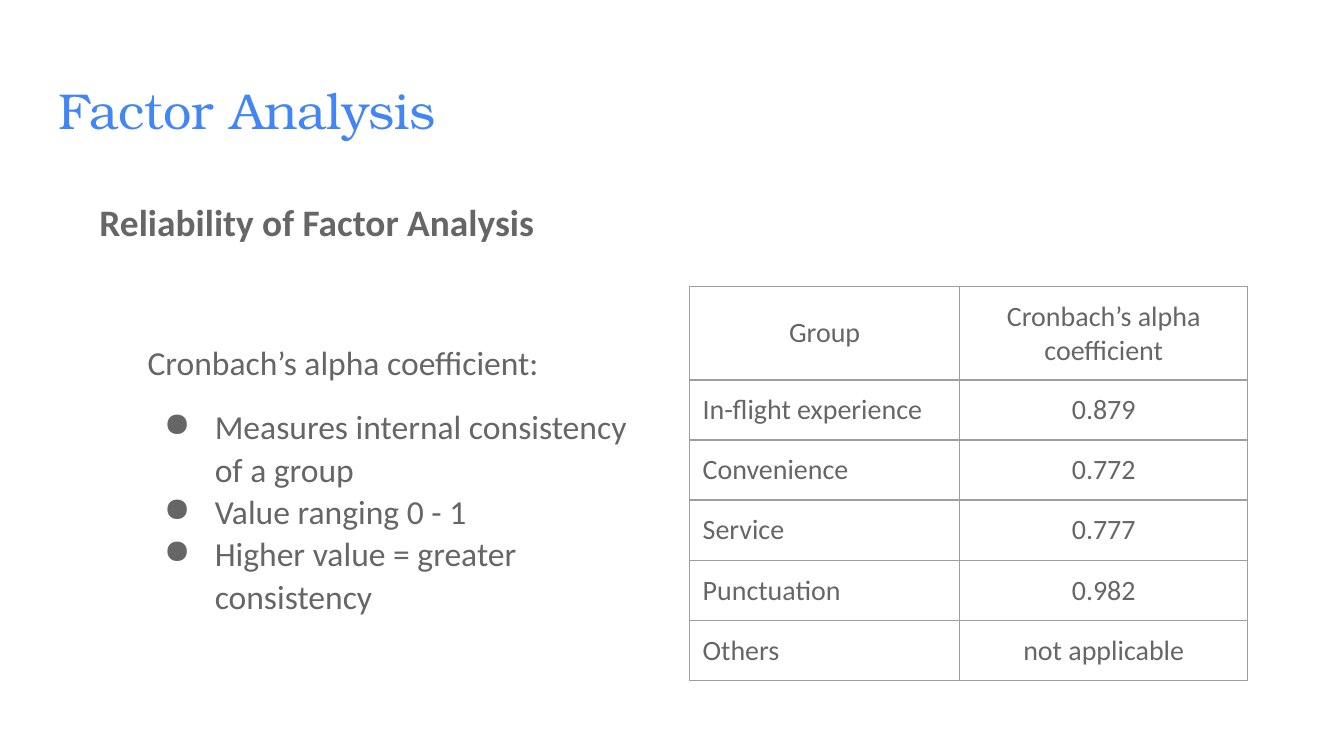
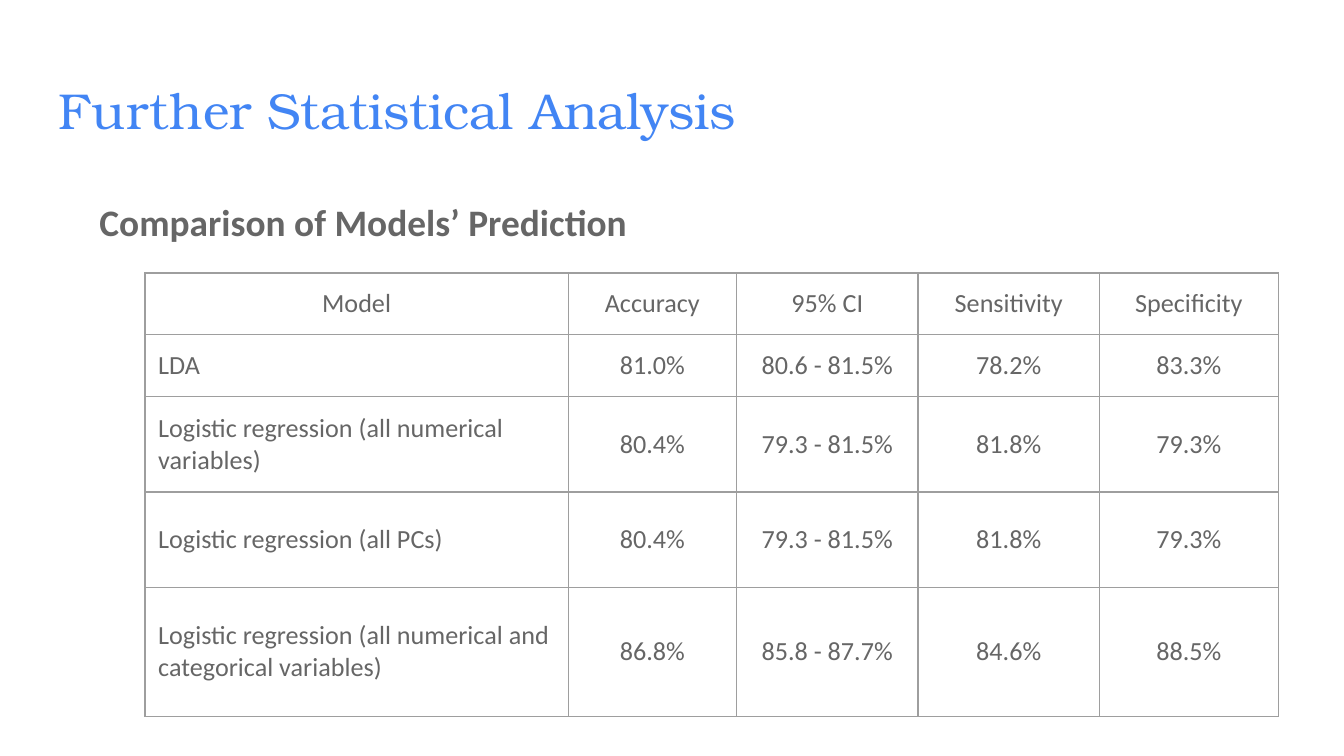
from dataclasses import dataclass

from lxml.etree import SubElement
from pptx import Presentation
from pptx.dml.color import RGBColor
from pptx.enum.text import MSO_ANCHOR as Anchor, PP_ALIGN as Align
from pptx.oxml.ns import qn
from pptx.util import Cm, Pt


@dataclass(frozen=True)
class Theme:
    title_font: str = "TeX Gyre Bonum"
    body_font: str = "Calibri"
    accent: str = "4285F4"
    text: str = "666666"
    background: str = "FFFFFF"
    border: str = "9E9E9E"
    border_width: float = 0.75
    title_size: int = 27
    subtitle_size: int = 20
    body_size: int = 18
    inset: float = 0.25


THEME = Theme()

RELIABILITY_POINTS = [
    "Measures internal consistency of a group",
    "Value ranging 0 - 1",
    "Higher value = greater consistency",
]
RELIABILITY_ROWS = [
    ("Group", "Cronbach’s alpha coefficient"),
    ("In-flight experience", "0.879"),
    ("Convenience", "0.772"),
    ("Service", "0.777"),
    ("Punctuation", "0.982"),
    ("Others", "not applicable"),
]
MODEL_ROWS = [
    ("Model", "Accuracy", "95% CI", "Sensitivity", "Specificity"),
    ("LDA", "81.0%", "80.6 - 81.5%", "78.2%", "83.3%"),
    ("Logistic regression (all numerical variables)",
     "80.4%", "79.3 - 81.5%", "81.8%", "79.3%"),
    ("Logistic regression (all PCs)",
     "80.4%", "79.3 - 81.5%", "81.8%", "79.3%"),
    ("Logistic regression (all numerical and categorical variables)",
     "86.8%", "85.8 - 87.7%", "84.6%", "88.5%"),
]


# Text helpers
def set_insets(target):
    """Give a text frame or table cell the common inner margins."""
    target.margin_left = target.margin_right = Cm(THEME.inset)
    target.margin_top = target.margin_bottom = Cm(THEME.inset)


def add_run(paragraph, text, size, font=THEME.body_font, color=THEME.text, bold=False):
    run = paragraph.add_run()
    run.text = text
    run.font.name = font
    run.font.size = Pt(size)
    run.font.bold = bold
    run.font.color.rgb = RGBColor.from_string(color)


def add_text_frame(slide, left, top, width, height):
    box = slide.shapes.add_textbox(Cm(left), Cm(top), Cm(width), Cm(height))
    frame = box.text_frame
    frame.word_wrap = True
    set_insets(frame)
    return frame


def add_bullet(paragraph):
    properties = paragraph._p.get_or_add_pPr()
    properties.set("marL", str(Cm(1.27)))
    properties.set("indent", str(Cm(-0.96)))
    color = SubElement(properties, qn("a:buClr"))
    SubElement(color, qn("a:srgbClr"), val=THEME.text)
    SubElement(properties, qn("a:buChar"), char="●")


# Slide elements
def add_headed_slide(presentation, title, subtitle):
    slide = presentation.slides.add_slide(presentation.slide_layouts[6])
    slide.background.fill.solid()
    slide.background.fill.fore_color.rgb = RGBColor.from_string(THEME.background)

    title_frame = add_text_frame(slide, 0.86, 1.24, 23.67, 1.6)
    add_run(title_frame.paragraphs[0], title, THEME.title_size,
            THEME.title_font, THEME.accent)

    paragraph = add_text_frame(slide, 1.63, 3.38, 12.9, 1.37).paragraphs[0]
    paragraph.line_spacing = 1.15
    paragraph.space_after = Pt(12)
    add_run(paragraph, subtitle, THEME.subtitle_size, bold=True)
    return slide


def add_bullet_list(slide, lead, points):
    frame = add_text_frame(slide, 2.54, 6.17, 10.16, 5.97)
    paragraph = frame.paragraphs[0]
    paragraph.line_spacing = 1.05
    add_run(paragraph, lead, THEME.body_size)
    for index, point in enumerate(points):
        paragraph = frame.add_paragraph()
        add_bullet(paragraph)
        paragraph.line_spacing = 1.05
        paragraph.space_before = Pt(0 if index else 12)
        add_run(paragraph, point, THEME.body_size)


def add_borders(cell):
    properties = cell._tc.get_or_add_tcPr()
    for side in ("lnL", "lnR", "lnT", "lnB"):
        line = SubElement(properties, qn(f"a:{side}"), w=str(Pt(THEME.border_width)))
        fill = SubElement(line, qn("a:solidFill"))
        SubElement(fill, qn("a:srgbClr"), val=THEME.border)


def add_grid_table(slide, left, top, widths, heights, rows, size):
    frame = slide.shapes.add_table(len(rows), len(widths), Cm(left), Cm(top),
                                   Cm(sum(widths)), Cm(sum(heights)))
    table = frame.table
    table.first_row = table.horz_banding = False
    for column, width in zip(table.columns, widths):
        column.width = Cm(width)
    for row, height in zip(table.rows, heights):
        row.height = Cm(height)
    for row_index, values in enumerate(rows):
        for column_index, value in enumerate(values):
            cell = table.cell(row_index, column_index)
            add_borders(cell)
            cell.fill.background()
            set_insets(cell)
            cell.vertical_anchor = Anchor.MIDDLE
            paragraph = cell.text_frame.paragraphs[0]
            is_row_label = row_index > 0 and column_index == 0
            paragraph.alignment = Align.LEFT if is_row_label else Align.CENTER
            add_run(paragraph, value, size)


def main():
    presentation = Presentation()
    presentation.slide_width = Cm(25.4)
    presentation.slide_height = Cm(14.29)

    # Reliability of the factors
    slide = add_headed_slide(presentation, "Factor Analysis",
                             "Reliability of Factor Analysis")
    add_bullet_list(slide, "Cronbach’s alpha coefficient:", RELIABILITY_POINTS)
    add_grid_table(slide, 13.03, 5.41, [5.11, 5.44],
                   [1.08] * len(RELIABILITY_ROWS), RELIABILITY_ROWS, size=15)

    # Model comparison
    slide = add_headed_slide(presentation, "Further Statistical Analysis",
                             "Comparison of Models’ Prediction")
    add_grid_table(slide, 2.74, 5.16, [8, 3.18, 3.43, 3.43, 3.38],
                   [1.17, 1.17, 1.8, 1.8, 2.44], MODEL_ROWS, size=14)

    presentation.save("out.pptx")


if __name__ == "__main__":
    main()
